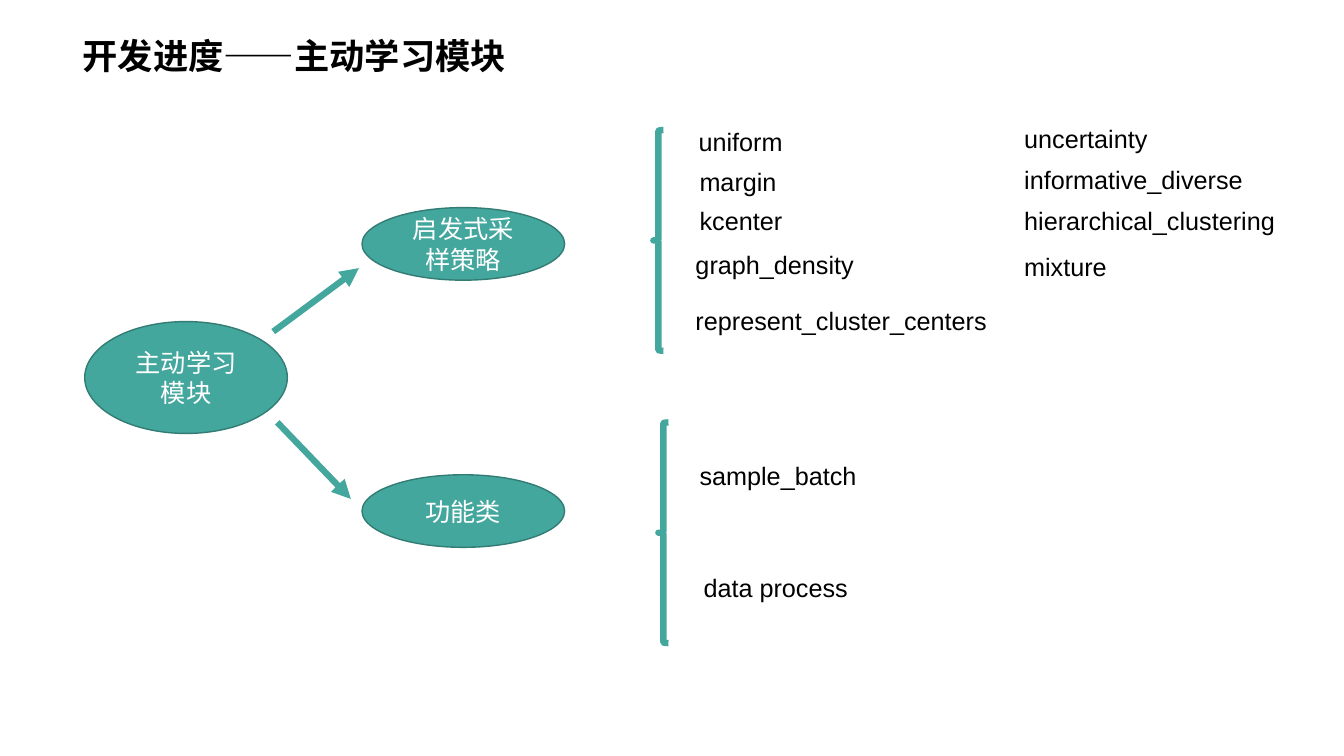
import pptx
import pptx.util
import pptx.dml.color
import pptx.enum.shapes
import pptx.enum.text
import pptx.oxml.ns
from lxml import etree
from pptx.util import Inches, Pt

COLORS = {"teal": "44A79D", "outline": "327C74", "white": "FFFFFF", "black": "000000"}
FONT = "Arial"
SHAPES = pptx.enum.shapes.MSO_SHAPE
ANCHOR = pptx.enum.text.MSO_ANCHOR

LABELS = [
    ("uniform", 6.83, 1.2, 1.2),
    ("margin", 6.84, 1.6, 1.2),
    ("kcenter", 6.84, 1.99, 1.51),
    ("graph_density", 6.8, 2.42, 1.8),
    ("represent_cluster_centers", 6.8, 2.98, 3.2),
    ("uncertainty", 10.06, 1.17, 1.6),
    ("informative_diverse", 10.06, 1.58, 2.6),
    ("hierarchical_clustering", 10.06, 1.99, 2.79),
    ("mixture", 10.06, 2.44, 1.2),
    ("sample_batch", 6.84, 4.52, 1.9),
    ("data process", 6.88, 5.63, 1.8),
]


def rgb(name):
    """Return the named colour."""
    return pptx.dml.color.RGBColor.from_string(COLORS[name])


def write(text_frame, text, color, size=18, bold=False):
    """Put one styled paragraph into a text frame and return it."""
    text_frame.word_wrap = True
    paragraph = text_frame.paragraphs[0]
    paragraph.text = text
    paragraph.font.name = FONT
    paragraph.font.size = Pt(size)
    paragraph.font.bold = bold
    paragraph.font.color.rgb = rgb(color)
    return paragraph


def add_label(slide, text, left, top, width, height=0.4, **style):
    """Add a left-aligned black text box."""
    box = slide.shapes.add_textbox(Inches(left), Inches(top), Inches(width), Inches(height))
    write(box.text_frame, text, "black", **style)
    return box


def add_node(slide, text, left, top, height):
    """Add a teal ellipse with centred white text."""
    node = slide.shapes.add_shape(
        SHAPES.OVAL, Inches(left), Inches(top), Inches(2.01), Inches(height))
    node.shadow.inherit = False
    node.fill.solid()
    node.fill.fore_color.rgb = rgb("teal")
    node.line.color.rgb = rgb("outline")
    node.line.width = Pt(1)
    node.text_frame.vertical_anchor = ANCHOR.MIDDLE
    paragraph = write(node.text_frame, text, "white")
    paragraph.alignment = pptx.enum.text.PP_ALIGN.CENTER


def add_brace(slide, left, top):
    """Add a thick, unfilled left brace."""
    brace = slide.shapes.add_shape(
        SHAPES.LEFT_BRACE, Inches(left), Inches(top), Inches(0.1), Inches(2.19))
    brace.shadow.inherit = False
    brace.fill.background()
    brace.line.color.rgb = rgb("teal")
    brace.line.width = Pt(4.5)


def add_arrow(slide, start, end):
    """Add a thick straight arrow between two points."""
    arrow = slide.shapes.add_connector(
        pptx.enum.shapes.MSO_CONNECTOR.STRAIGHT, *map(Inches, start + end))
    arrow.line.color.rgb = rgb("teal")
    arrow.line.width = Pt(4.5)
    qn = pptx.oxml.ns.qn
    etree.SubElement(arrow.line._get_or_add_ln(), qn("a:tailEnd"), type="triangle")
    etree.SubElement(arrow._element.spPr, qn("a:effectLst"))


def main():
    """Build and save the slide."""
    presentation = pptx.Presentation()
    presentation.slide_width = Inches(13.33)
    presentation.slide_height = Inches(7.5)
    slide = presentation.slides.add_slide(presentation.slide_layouts[6])

    title = add_label(slide, "开发进度——主动学习模块", 0.72, 0.25, 11.81, 0.6,
                      size=25.2, bold=True)
    title.text_frame.vertical_anchor = ANCHOR.MIDDLE

    add_node(slide, "主动学习模块", 0.84, 3.19, 1.11)
    add_node(slide, "启发式采样策略", 3.59, 2.06, 0.72)
    add_node(slide, "功能类", 3.59, 4.71, 0.72)
    add_arrow(slide, (2.71, 3.29), (3.56, 2.66))
    add_arrow(slide, (2.75, 4.19), (3.48, 4.95))
    add_brace(slide, 6.48, 1.29)
    add_brace(slide, 6.53, 4.19)
    for label in LABELS:
        add_label(slide, *label)

    presentation.save("out.pptx")


if __name__ == "__main__":
    main()
